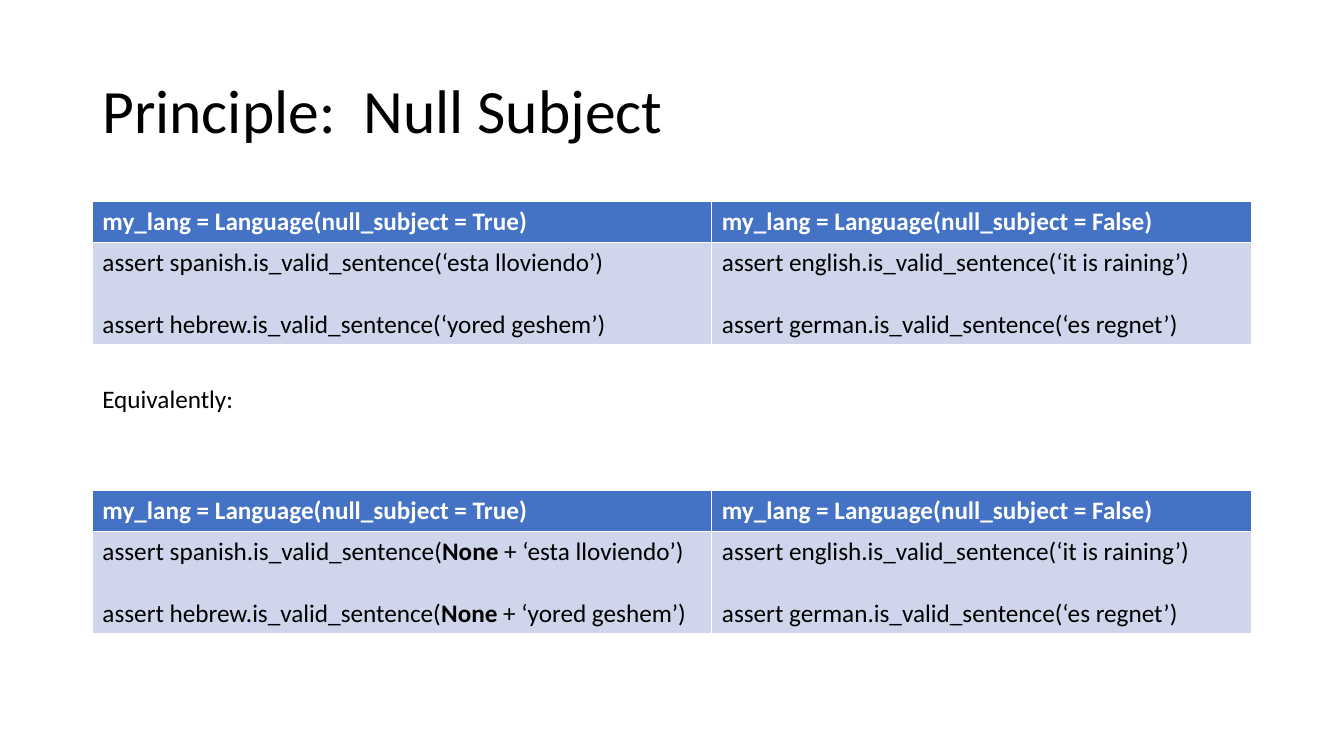
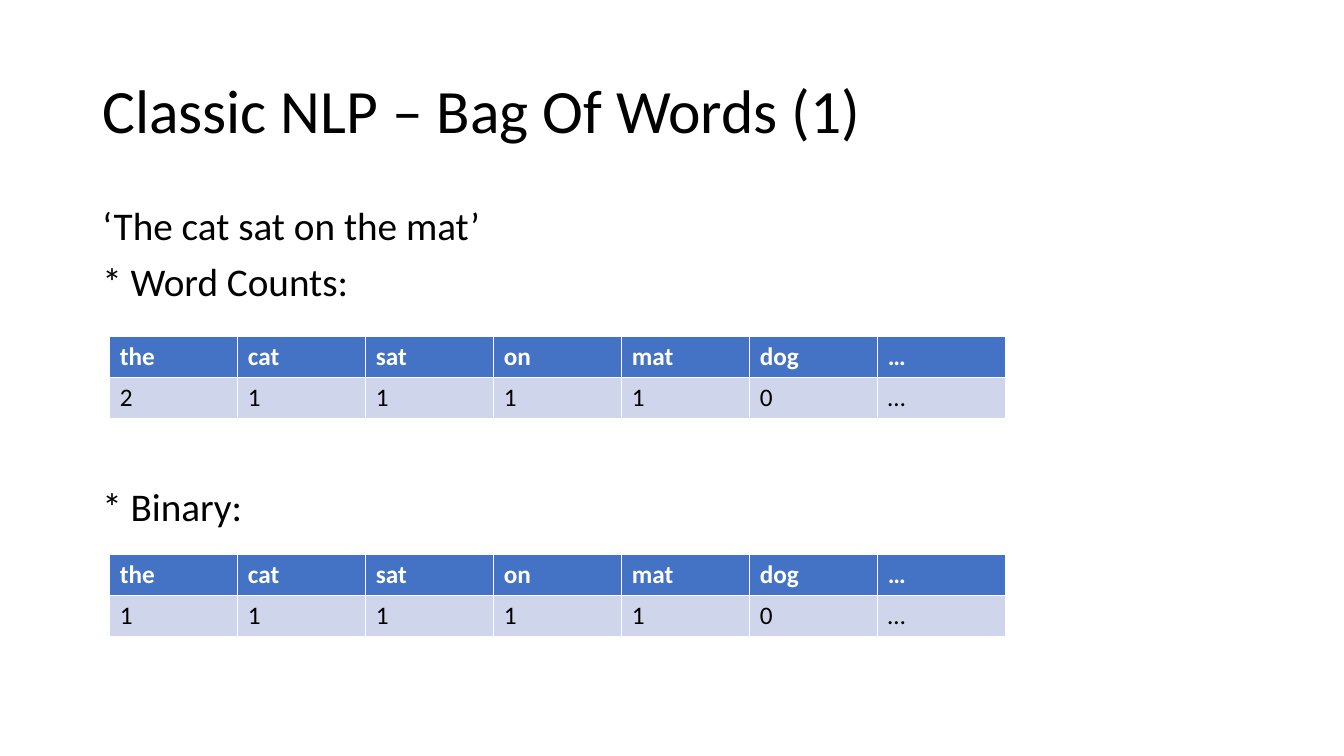
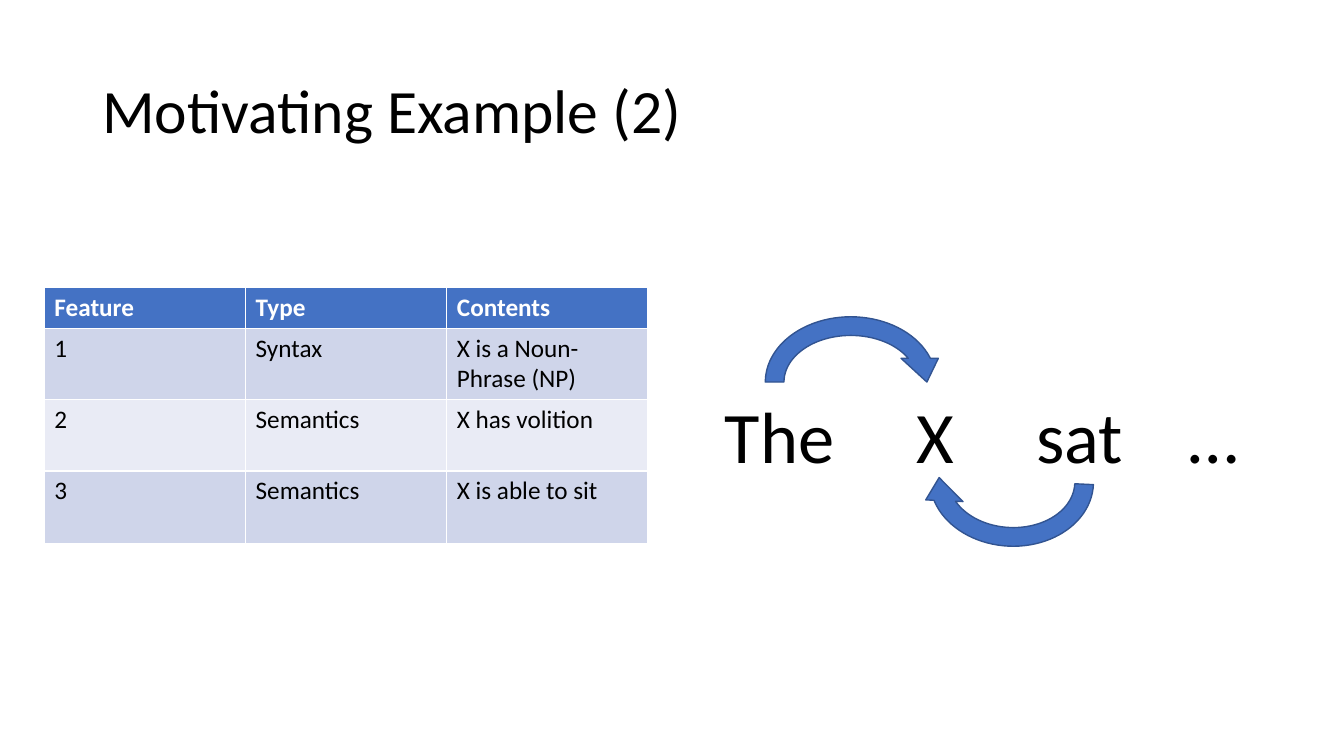
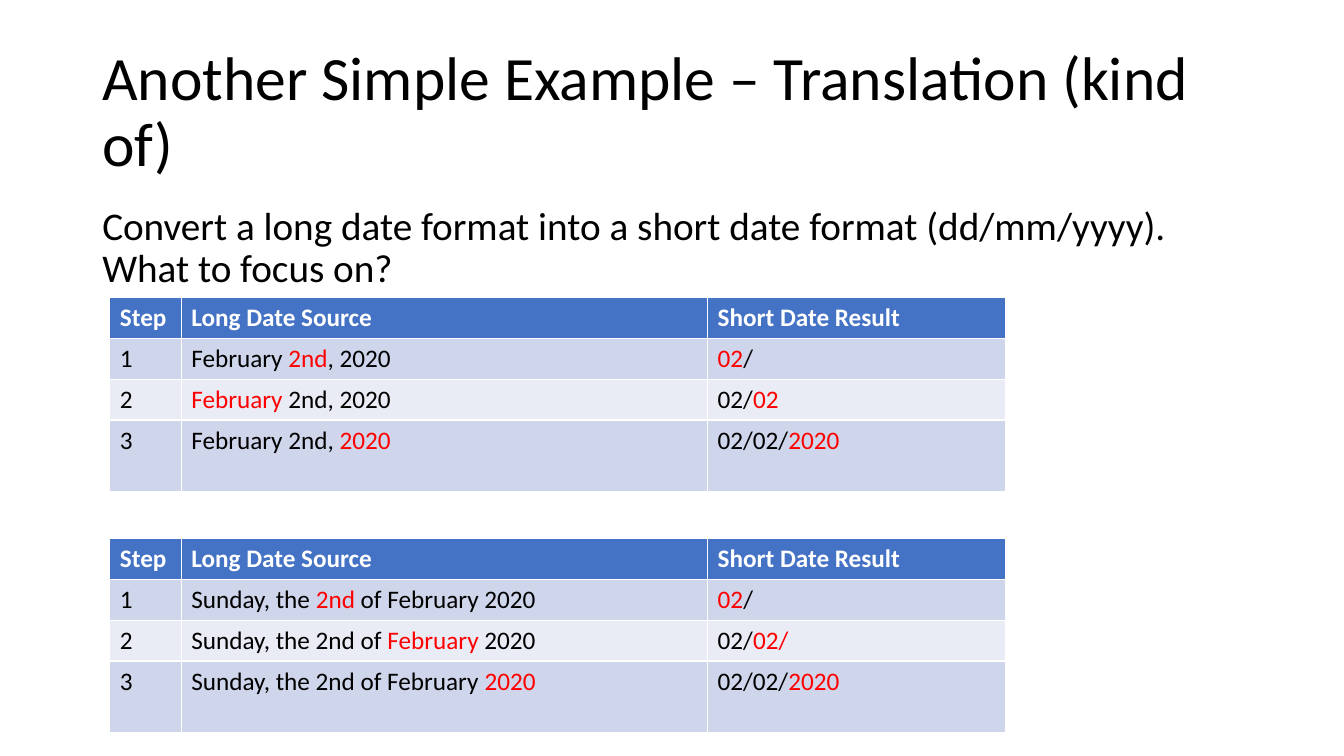
from lxml import etree
from pptx import Presentation
from pptx.dml.color import RGBColor as Color
from pptx.enum.shapes import MSO_SHAPE as Shape
from pptx.enum.text import MSO_ANCHOR as Anchor
from pptx.oxml.ns import qn
from pptx.util import Pt

COLORS = {"ink": "000000", "white": "FFFFFF", "blue": "4472C4", "edge": "325491",
          "dark band": "CFD5EA", "light band": "E9EBF5", "red": "FF0000"}
RGB = {name: Color.from_string(value) for name, value in COLORS.items()}
BODY = {"line_spacing": 0.9, "space_before": Pt(10)}
LEFT, WIDTH = 66, 828
ROW, TALL_ROW = 29.2, 51


def write(frame, lines, size, paragraph={}, font={}, color="ink", mark="red"):
    """Write the lines; text between bars is marked in red or bold."""
    for index, line in enumerate(lines):
        para = frame.paragraphs[0] if index == 0 else frame.add_paragraph()
        for name, value in paragraph.items():
            setattr(para, name, value)
        for part, text in enumerate(line.split("|")):
            if not text:
                continue
            marked = part % 2 == 1
            span = para.add_run()
            span.text = text
            values = {"name": "Calibri", "size": Pt(size), "bold": False, **font}
            if marked and mark == "bold":
                values["bold"] = True
            for name, value in values.items():
                setattr(span.font, name, value)
            span.font.color.rgb = RGB["red" if marked and mark == "red" else color]


def draw_table(page, left, top, widths, heights, rows, mark="red"):
    """Add a table with a blue header and banded rows; return it."""
    frame = page.shapes.add_table(len(rows), len(widths), Pt(left), Pt(top),
                                  Pt(sum(widths)), Pt(sum(heights)))
    table = frame.table
    for column, width in zip(table.columns, widths):
        column.width = Pt(width)
    for number, (row, height, texts) in enumerate(zip(table.rows, heights, rows)):
        row.height = Pt(height)
        header = number == 0
        fill = "blue" if header else "dark band" if number % 2 else "light band"
        for cell, text in zip(row.cells, texts):
            cell.fill.solid()
            cell.fill.fore_color.rgb = RGB[fill]
            write(cell.text_frame, text.split("\n"), 18, font={"bold": header},
                  color="white" if header else "ink", mark=mark)
    return table


deck = Presentation()
deck.slide_width, deck.slide_height = Pt(960), Pt(540)

# Titles and body text
slides = [
    ("Principle:  Null Subject", []),
    ("Classic NLP – Bag Of Words (1)",
     ["‘The cat sat on the mat’", "* Word Counts:", "* Binary:"]),
    ("Motivating Example (2)", []),
    ("Another Simple Example – Translation (kind of)",
     ["Convert a long date format into a short date format (dd/mm/yyyy). "
      "What to focus on?"]),
]
pages, bodies = [], []
for title, lines in slides:
    page = deck.slides.add_slide(deck.slide_layouts[6])
    pages.append(page)
    box = page.shapes.add_textbox(Pt(LEFT), Pt(28.8), Pt(WIDTH), Pt(104.4))
    box.text_frame.word_wrap = True
    box.text_frame.vertical_anchor = Anchor.MIDDLE
    write(box.text_frame, [title], 44, {"line_spacing": 0.9})
    if lines:
        body = page.shapes.add_textbox(Pt(LEFT), Pt(144), Pt(WIDTH), Pt(342.6))
        body.text_frame.word_wrap = True
        write(body.text_frame, lines, 28, BODY)
        bodies.append(body)
null_page, words_page, example_page, dates_page = pages

# Null subject: the same table without and with None
for top, none in ((144, ""), (350.6, "|None| + ")):
    table = draw_table(
        null_page, LEFT, top, [442.5, 385.5], [ROW, 73],
        [["my_lang = Language(null_subject = True)",
          "my_lang = Language(null_subject = False)"],
         [f"assert spanish.is_valid_sentence({none}‘esta lloviendo’)\n"
          f"assert hebrew.is_valid_sentence({none}‘yored geshem’)",
          "assert english.is_valid_sentence(‘it is raining’)\n"
          "assert german.is_valid_sentence(‘es regnet’)"]], mark="bold")
    for cell in table.rows[1].cells:
        cell.text_frame.paragraphs[1].space_before = Pt(22)
box = null_page.shapes.add_textbox(Pt(LEFT), Pt(270), Pt(109.4), Pt(29))
box.text_frame.word_wrap = False
write(box.text_frame, ["Equivalently:"], 18)

# Bag of words: counts, then binary values
bodies[0].text_frame.paragraphs[2].space_before = Pt(130)
words = ["the", "cat", "sat", "on", "mat", "dog", "…"]
for top, first in ((240.5, "2"), (396, "1")):
    draw_table(words_page, 78.5, top, [91.43] * len(words), [ROW, ROW],
               [words, [first, "1", "1", "1", "1", "0", "…"]])

# Motivating example: features
draw_table(example_page, 31.7, 205.2, [143.75] * 3, [ROW, TALL_ROW, TALL_ROW, 52],
           [["Feature", "Type", "Contents"],
            ["1", "Syntax", "X is a Noun-Phrase (NP)"],
            ["2", "Semantics", "X has volition"],
            ["3", "Semantics", "X is able to sit"]])

# Motivating example: sentence on centred tab stops
box = example_page.shapes.add_textbox(Pt(496.8), Pt(276), Pt(410.4), Pt(70))
box.text_frame.word_wrap = True
write(box.text_frame, ["\tThe\tX\tsat\t…"], 51.8, {"line_spacing": 1.0})
stops = etree.SubElement(box.text_frame.paragraphs[0]._p.get_or_add_pPr(), qn("a:tabLst"))
for center in (53, 164.5, 267.5, 363):
    etree.SubElement(stops, qn("a:tab"), pos=str(Pt(center)), algn="ctr")

# Motivating example: arrows towards X
for left, top, width, turn in ((540, 219.6, 135.4, 0), (657.4, 290.2, 130.3, 182.6)):
    arrow = example_page.shapes.add_shape(Shape.CIRCULAR_ARROW, Pt(left), Pt(top),
                                          Pt(width), Pt(106.6))
    arrow.rotation = turn
    arrow.shadow.inherit = False
    arrow.fill.solid()
    arrow.fill.fore_color.rgb = RGB["blue"]
    arrow.line.color.rgb = RGB["edge"]
    arrow.line.width = Pt(1)

# Translation: the part in focus is red
date_steps = [
    (212.4, [["1", "February |2nd|, 2020", "|02|/"],
             ["2", "|February| 2nd, 2020", "02/|02|"],
             ["3", "February 2nd, |2020|", "02/02/|2020|"]]),
    (384.6, [["1", "Sunday, the |2nd| of February 2020", "|02|/"],
             ["2", "Sunday, the 2nd of |February| 2020", "02/|02/|"],
             ["3", "Sunday, the 2nd of February |2020|", "02/02/|2020|"]]),
]
for top, steps in date_steps:
    draw_table(dates_page, 78.5, top, [51, 376, 213], [ROW, ROW, ROW, TALL_ROW],
               [["Step", "Long Date Source", "Short Date Result"]] + steps)

deck.save("out.pptx")
